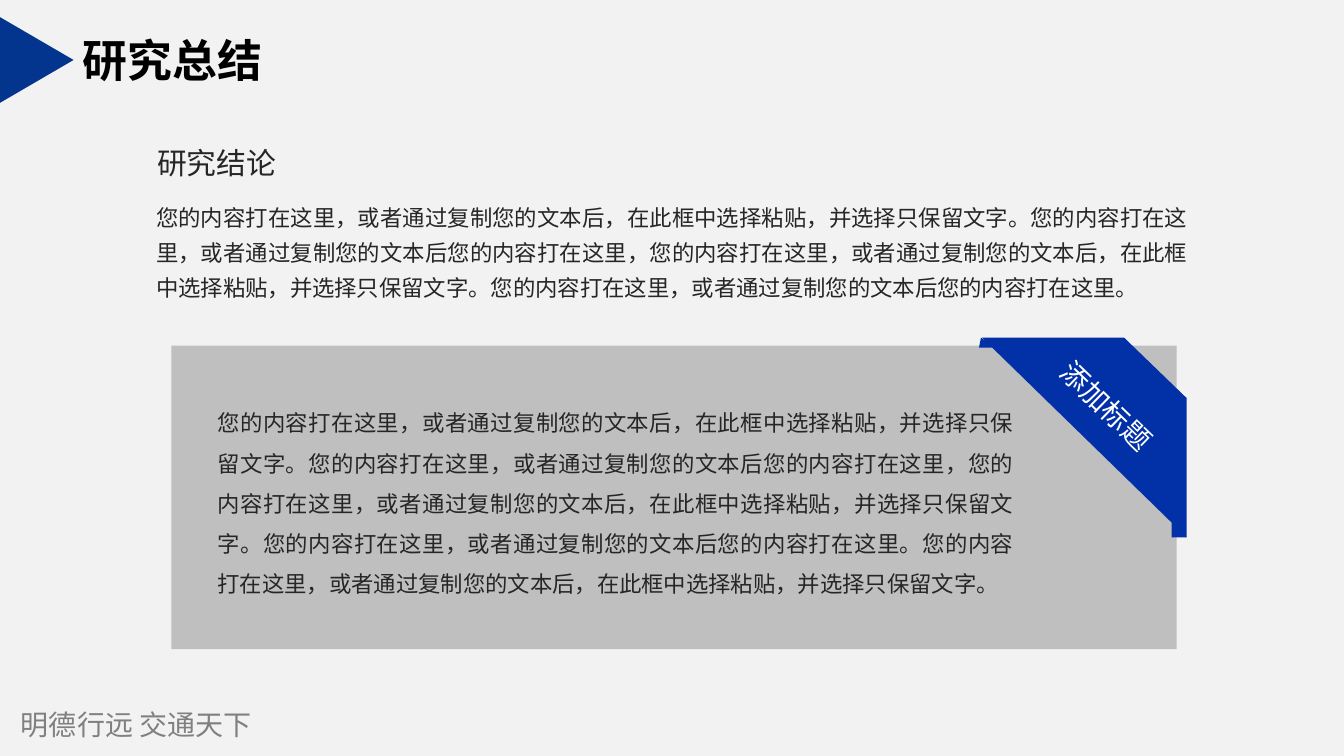
import pptx
import pptx.dml.color
import pptx.enum.shapes
import pptx.enum.text
import pptx.oxml
import pptx.oxml.ns
import pptx.util

Inches = pptx.util.Inches
ALIGN = pptx.enum.text.PP_ALIGN
ANCHOR = pptx.enum.text.MSO_ANCHOR
SHAPE = pptx.enum.shapes.MSO_SHAPE

# Content
TITLE = "研究总结"
HEADING = "研究结论"
RIBBON_LABEL = "添加标题"
MOTTO = "明德行远 交通天下"
PASTE = "您的内容打在这里，或者通过复制您的文本后，在此框中选择粘贴，并选择只保留文字。"
TWICE = "您的内容打在这里，或者通过复制您的文本后您的内容打在这里"
CONCLUSION = PASTE + TWICE + "，" + PASTE + TWICE + "。"
PANEL_TEXT = CONCLUSION + PASTE

# Ribbon outlines: the two folded ends, then the band
RIBBON = [
    [(11.77, 5.33), (11.62, 5.33), (11.62, 5.14)],
    [(9.73, 3.35), (9.71, 3.45), (9.87, 3.45)],
    [(9.74, 3.35), (11.77, 5.33), (11.77, 3.95), (11.15, 3.35)],
]

THEME = {
    "background": "F2F2F2", "panel": "BFBFBF", "ribbon": "0231A7", "marker": "03358E",
    "title": "000000", "body": "262626", "motto": "808080", "label": "FFFFFF",
    "title_size": 32, "heading_size": 21.3, "label_size": 20, "body_size": 16,
    "sans": "Noto Sans CJK SC", "motto_font": "Noto Sans CJK JP", "title_font": "Arial",
}


def color(name):
    return pptx.dml.color.RGBColor.from_string(THEME[name])


def paint(shape, name):
    shape.shadow.inherit = False
    shape.fill.solid()
    shape.fill.fore_color.rgb = color(name)
    shape.line.fill.background()


def write(box, text, size, ink, font="sans", wrap=True, align=ALIGN.LEFT,
          spacing=None, bold=False, anchor=ANCHOR.TOP):
    frame = box.text_frame
    frame.word_wrap = wrap
    frame.vertical_anchor = anchor
    para = frame.paragraphs[0]
    para.alignment = align
    if spacing:
        para.line_spacing = spacing
    span = para.add_run()
    span.text = text
    span.font.size = pptx.util.Pt(THEME[size])
    span.font.bold = bold
    span.font.color.rgb = color(ink)
    span.font.name = THEME[font]
    # East Asian glyphs take their own typeface element
    if font != "title_font":
        east = pptx.oxml.parse_xml(
            f'<a:ea {pptx.oxml.ns.nsdecls("a")} typeface="{THEME[font]}"/>')
        span.font._element.append(east)
    return frame


def add_text(page, at, *args, **options):
    box = page.shapes.add_textbox(*map(Inches, at))
    return write(box, *args, **options)


def add_block(page, kind, at, fill, rotation=0):
    block = page.shapes.add_shape(kind, *map(Inches, at))
    block.rotation = rotation
    paint(block, fill)
    return block


def main():
    deck = pptx.Presentation()
    deck.slide_width, deck.slide_height = Inches(13.33), Inches(7.5)
    page = deck.slides.add_slide(deck.slide_layouts[6])
    page.background.fill.solid()
    page.background.fill.fore_color.rgb = color("background")

    # Footer motto and conclusion
    add_text(page, (0.11, 6.97, 3.94, 0.44), MOTTO, "label_size", "motto",
             font="motto_font", anchor=ANCHOR.MIDDLE)
    add_text(page, (1.45, 1.9, 10.44, 1.12), CONCLUSION, "body_size", "body",
             align=ALIGN.JUSTIFY, spacing=1.3)
    add_text(page, (1.46, 1.39, 1.4, 0.46), HEADING, "heading_size", "body", wrap=False)

    # Grey panel
    add_block(page, SHAPE.RECTANGLE, (1.7, 3.43, 9.97, 3.01), "panel")
    add_text(page, (2.06, 3.88, 8.1, 2.07), PANEL_TEXT, "body_size", "body",
             align=ALIGN.JUSTIFY, spacing=1.5)

    # Corner ribbon with its slanted label
    for outline in RIBBON:
        start, *rest = [(Inches(x), Inches(y)) for x, y in outline]
        builder = page.shapes.build_freeform(*start)
        builder.add_line_segments(rest, close=True)
        paint(builder.convert_to_shape(), "ribbon")
    label = add_block(page, SHAPE.RECTANGLE, (10.32, 3.81, 1.32, 0.44), "ribbon", 44)
    write(label, RIBBON_LABEL, "label_size", "label", wrap=False, anchor=ANCHOR.MIDDLE)

    # Title and its marker
    frame = add_text(page, (0.69, 0.26, 2.06, 0.67), TITLE, "title_size", "title",
                     font="title_font", wrap=False, bold=True, anchor=ANCHOR.MIDDLE)
    frame.margin_left = frame.margin_right = Inches(0.13)
    frame.margin_top = frame.margin_bottom = Inches(0.07)
    add_block(page, SHAPE.ISOSCELES_TRIANGLE, (-0.06, 0.23, 0.85, 0.73), "marker", 90)

    deck.save("out.pptx")


if __name__ == "__main__":
    main()
